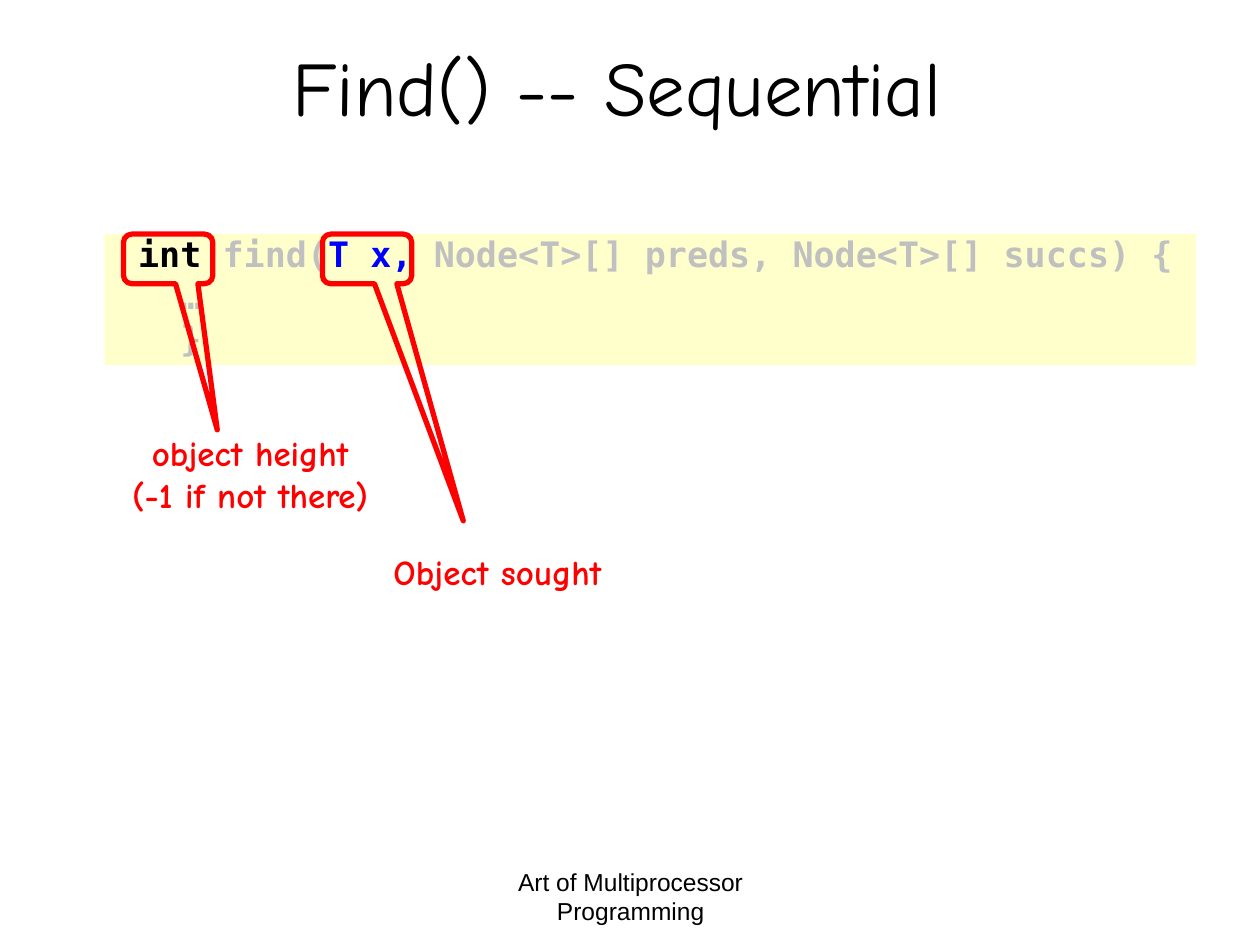
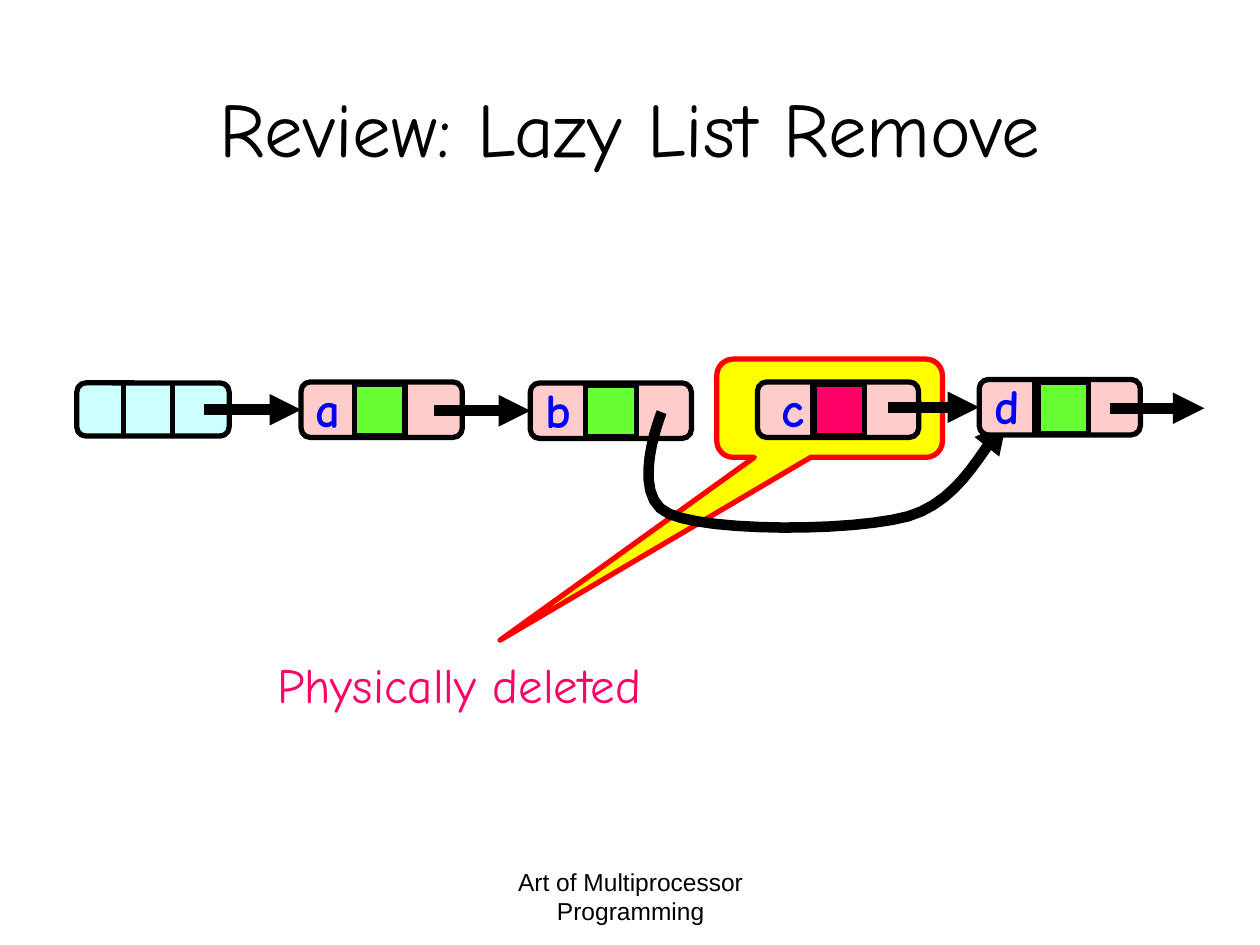
from lxml.etree import SubElement
from pptx import Presentation
from pptx.dml.color import RGBColor
from pptx.enum.shapes import MSO_CONNECTOR, MSO_SHAPE
from pptx.enum.text import MSO_ANCHOR, MSO_AUTO_SIZE, PP_ALIGN
from pptx.oxml.ns import qn
from pptx.util import Cm, Pt

BLACK = RGBColor(0x00, 0x00, 0x00)
BLUE = RGBColor(0x00, 0x00, 0xFF)
RED = RGBColor(0xFF, 0x00, 0x00)
GRAY = RGBColor(0xC0, 0xC0, 0xC0)
CREAM = RGBColor(0xFF, 0xFF, 0xCC)
YELLOW = RGBColor(0xFF, 0xFF, 0x00)
CYAN = RGBColor(0xCC, 0xFF, 0xFF)
PINK = RGBColor(0xFF, 0xCC, 0xCC)
GREEN = RGBColor(0x66, 0xFF, 0x33)
MAGENTA = RGBColor(0xFF, 0x00, 0x66)

HAND_FONT = "Comic Neue"
CODE_FONT = "DejaVu Sans Mono"
FOOTER_FONT = "Arial"
CODE_LINES = [
    [(" ", BLUE), ("int ", BLACK), ("find(", GRAY), ("T x, ", BLUE),
     ("Node<T>[] preds, Node<T>[] succs) {", GRAY)],
    [("   …", GRAY)],
    [("   }", GRAY)],
]
CURVE_STEPS = 12


def format_font(font, name, size, color, bold=False):
    """Set the typeface, size, colour and weight of a font."""
    font.name = name
    font.size = Pt(size)
    font.color.rgb = color
    font.bold = bold


def space_paragraphs(text_frame):
    """Apply the tight line spacing shared by the code and its notes."""
    for index, paragraph in enumerate(text_frame.paragraphs):
        paragraph.line_spacing = 0.8
        paragraph.space_before = Pt(5 if index else 0)


def add_text(slide, box, text, size, color, align, font=HAND_FONT, bold=False, wrap=False):
    """Add a text box with uniform formatting and return its text frame."""
    text_frame = slide.shapes.add_textbox(*map(Cm, box)).text_frame
    text_frame.word_wrap = wrap
    text_frame.auto_size = MSO_AUTO_SIZE.NONE if wrap else MSO_AUTO_SIZE.SHAPE_TO_FIT_TEXT
    text_frame.text = text
    for paragraph in text_frame.paragraphs:
        paragraph.alignment = align
        for run in paragraph.runs:
            format_font(run.font, font, size, color, bold)
    return text_frame


def add_titled_slide(presentation, title, top):
    """Add a slide with the shared title style and footer."""
    slide = presentation.slides.add_slide(presentation.slide_layouts[5])
    shape = slide.shapes.title
    shape.left, shape.top, shape.width, shape.height = map(Cm, (1.9, top, 21.6, 3.18))
    shape.text_frame.text = title
    shape.text_frame.vertical_anchor = MSO_ANCHOR.MIDDLE
    paragraph = shape.text_frame.paragraphs[0]
    paragraph.alignment = PP_ALIGN.CENTER
    format_font(paragraph.runs[0].font, HAND_FONT, 44, BLACK)
    add_text(slide, (8.69, 17.35, 8.05, 1.32), "Art of Multiprocessor Programming",
             14, BLACK, PP_ALIGN.CENTER, FOOTER_FONT, wrap=True)
    return slide


def add_outlined(slide, kind, box, fill=None, outline=BLACK, adjustments=()):
    """Add a preset shape with a three-point outline."""
    shape = slide.shapes.add_shape(kind, *map(Cm, box))
    shape.shadow.inherit = False
    if fill is None:
        shape.fill.background()
    else:
        shape.fill.solid()
        shape.fill.fore_color.rgb = fill
    shape.line.color.rgb = outline
    shape.line.width = Pt(3)
    for index, value in enumerate(adjustments):
        shape.adjustments[index] = value
    return shape


def add_callout(slide, box, pointer, fill=None):
    """Add a red rounded callout pointing at a relative position."""
    return add_outlined(slide, MSO_SHAPE.ROUNDED_RECTANGULAR_CALLOUT, box, fill, RED,
                        (*pointer, 0.167))


def add_triangle_end(shape):
    """Put a triangular arrowhead at the end of a line."""
    line = shape.element.spPr.find(qn("a:ln"))
    SubElement(line, qn("a:tailEnd"), type="triangle")


def add_line(slide, start, end, width=3):
    """Add a straight black line without a shadow."""
    line = slide.shapes.add_connector(MSO_CONNECTOR.STRAIGHT, *map(Cm, (*start, *end)))
    line.line.color.rgb = BLACK
    line.line.width = Pt(width)
    SubElement(line.element.spPr, qn("a:effectLst"))
    return line


def add_arrow(slide, left, middle, target=None):
    """Add a horizontal list pointer, joined to its target when there is one."""
    arrow = add_line(slide, (left, middle), (left + 1.9, middle), 6)
    add_triangle_end(arrow)
    if target is not None:
        arrow.begin_y = target.top + target.height // 2
        arrow.end_connect(target, 1)


def add_cells(slide, box, fill, dividers):
    """Add a rounded list node split by vertical dividers."""
    left, top, _, height = box
    node = add_outlined(slide, MSO_SHAPE.ROUNDED_RECTANGLE, box, fill, adjustments=(0.167,))
    for offset in dividers:
        add_line(slide, (left + offset, top), (left + offset, top + height))
    return node


def add_node(slide, left, top, label, mark_color, mark_offset, label_offset=0.05):
    """Add a labelled list node with its mark cell."""
    node = add_cells(slide, (left, top, 3.25, 1.12), PINK, (1.12, 2.11))
    add_outlined(slide, MSO_SHAPE.RECTANGLE, (left + mark_offset, top + 0.05, 1.02, 1.04), mark_color)
    add_text(slide, (left + label_offset, top - 0.2, 1, 1.45), label, 28, BLUE,
             PP_ALIGN.RIGHT, bold=True)
    return node


def bezier_point(controls, t):
    """Return the point of a cubic curve at parameter t."""
    weights = ((1 - t) ** 3, 3 * t * (1 - t) ** 2, 3 * t ** 2 * (1 - t), t ** 3)
    return tuple(sum(w * point[axis] for w, point in zip(weights, controls)) for axis in (0, 1))


def add_bypass_arrow(slide, left, top):
    """Add the curved pointer that skips the deleted node."""
    controls = [(0.69, 0), (0.69, 0), (0, 1.7), (0.84, 2.05), (1.65, 2.41),
                (4.52, 2.41), (5.66, 2.1), (6.78, 1.77), (7.21, 0.58), (7.64, 0.2)]
    points = [controls[0]]
    for first in range(0, len(controls) - 1, 3):
        segment = controls[first:first + 4]
        points += [bezier_point(segment, step / CURVE_STEPS) for step in range(1, CURVE_STEPS + 1)]
    points = [(Cm(left + x), Cm(top + y)) for x, y in points]
    builder = slide.shapes.build_freeform(*points[0])
    builder.add_line_segments(points[1:], close=False)
    curve = builder.convert_to_shape()
    curve.shadow.inherit = False
    curve.fill.background()
    curve.line.color.rgb = BLACK
    curve.line.width = Pt(6)
    add_triangle_end(curve)


def add_code(slide, box):
    """Add the code panel with coloured runs."""
    panel = slide.shapes.add_textbox(*map(Cm, box))
    panel.fill.solid()
    panel.fill.fore_color.rgb = CREAM
    text_frame = panel.text_frame
    text_frame.word_wrap = True
    for index, pieces in enumerate(CODE_LINES):
        paragraph = text_frame.add_paragraph() if index else text_frame.paragraphs[0]
        for text, color in pieces:
            run = paragraph.add_run()
            run.text = text
            format_font(run.font, CODE_FONT, 20, color, bold=True)
    space_paragraphs(text_frame)


def add_note(slide, box, text):
    """Add a red note explaining part of the code."""
    space_paragraphs(add_text(slide, box, text, 20, RED, PP_ALIGN.CENTER, bold=True))


def build_find_slide(presentation):
    """Build the slide about the find signature."""
    slide = add_titled_slide(presentation, "Find() -- Sequential ", 0.13)
    left, top = 2.11, 4.72
    add_code(slide, (left, top, 22, 2.64))
    add_callout(slide, (left + 4.39, top, 1.8, 1), (1.078, 5.28))
    add_note(slide, (left + 4.62, top + 6.41, 6.6, 0.94), "Object sought")
    add_callout(slide, (left + 0.38, top, 1.8, 1), (0.551, 3.447))
    add_note(slide, (left - 0.66, top + 4.02, 7.19, 1.8), "object height\n(-1 if not there)")


def build_remove_slide(presentation):
    """Build the slide about removal from a lazy list."""
    slide = add_titled_slide(presentation, "Review: Lazy List Remove", 0.97)
    add_callout(slide, (14.45, 7.24, 4.55, 1.98), (-1.46, 2.362), YELLOW)
    add_cells(slide, (1.55, 7.72, 3.07, 1.07), CYAN, (0.94, 1.93))
    node_a = add_node(slide, 6.07, 7.7, "a", GREEN, 1.07)
    node_b = add_node(slide, 10.69, 7.72, "b", GREEN, 1.12)
    add_bypass_arrow(slide, 12.65, 8.31)
    add_node(slide, 15.27, 7.7, "c", MAGENTA, 1.14, 0.2)
    node_d = add_node(slide, 19.74, 7.65, "d", GREEN, 1.19)
    for left, target in ((4.11, node_a), (8.74, node_b), (17.91, node_d), (22.38, None)):
        add_arrow(slide, left, 8.23, target)
    add_text(slide, (5.31, 13.06, 7.87, 1.45), "Physically deleted", 28, MAGENTA, PP_ALIGN.RIGHT)


def main():
    """Create the presentation and save it."""
    presentation = Presentation()
    presentation.slide_width = Cm(25.4)
    presentation.slide_height = Cm(19.05)
    build_find_slide(presentation)
    build_remove_slide(presentation)
    presentation.save("out.pptx")


if __name__ == "__main__":
    main()
